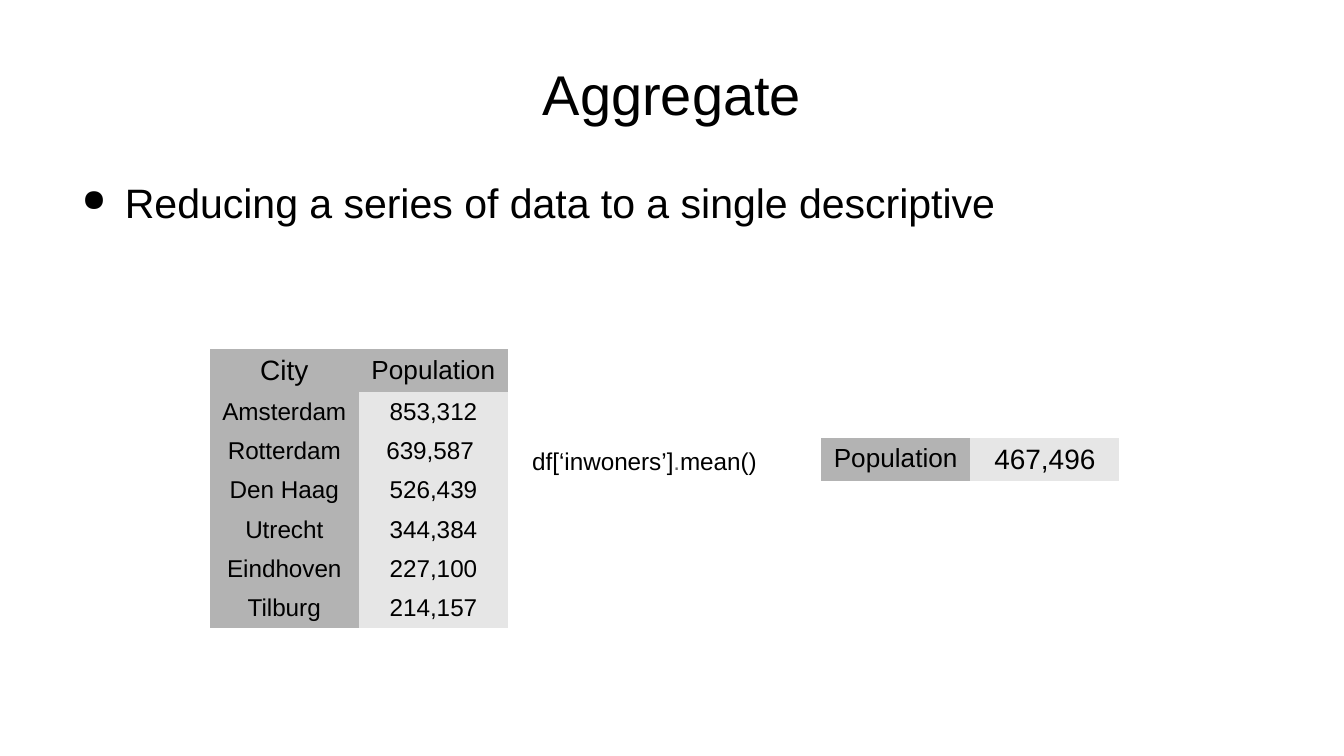
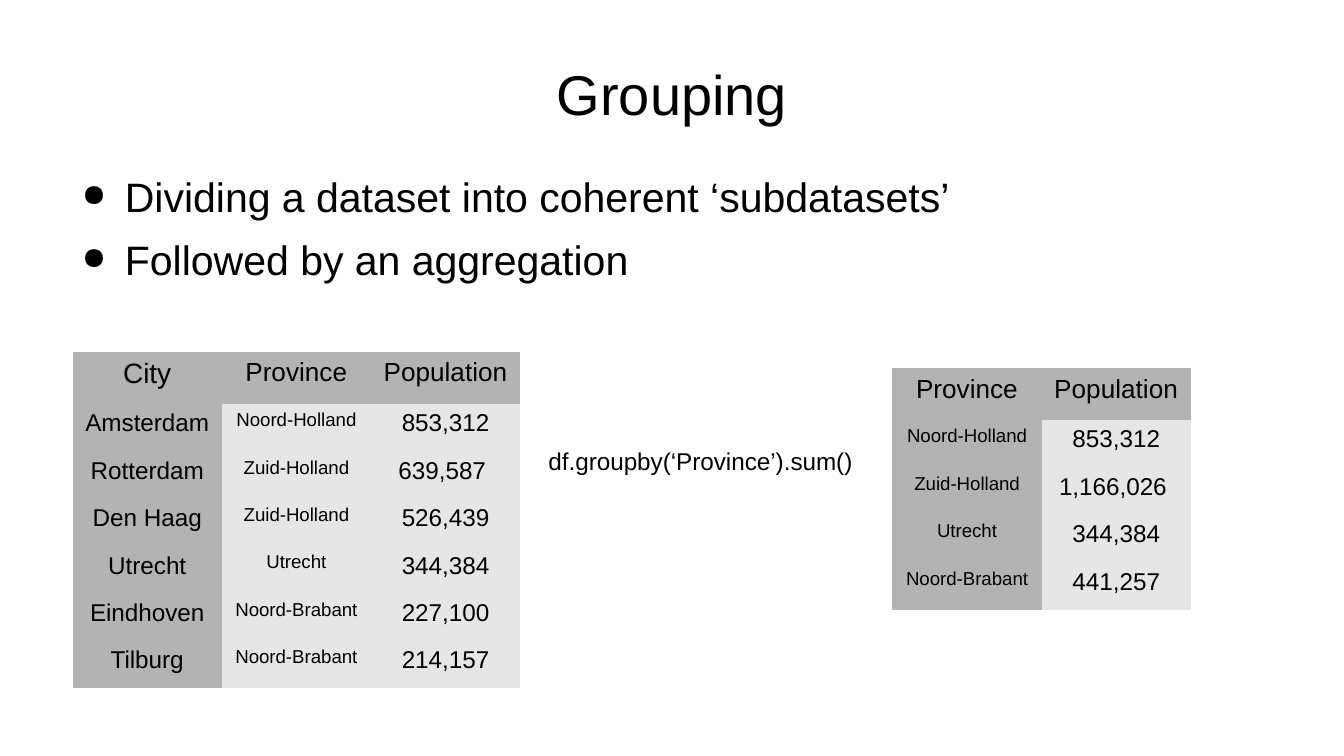
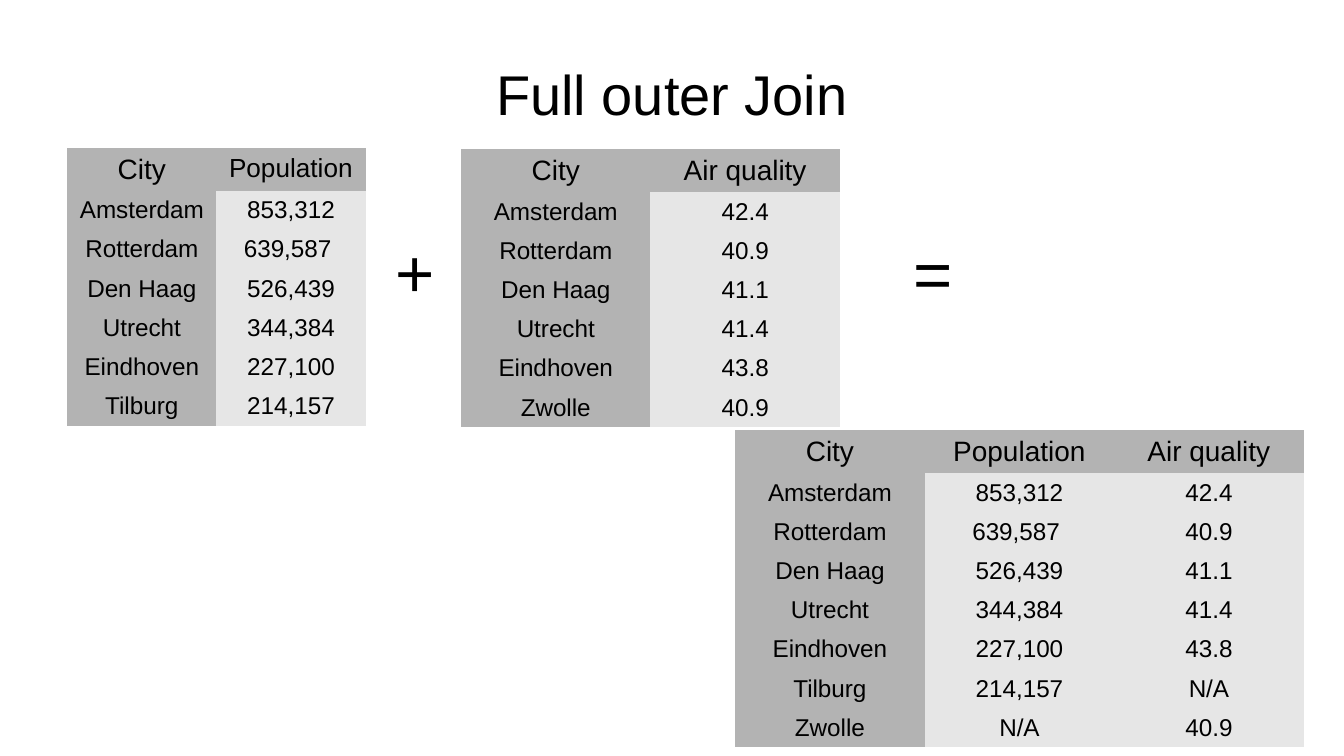
"""Build three slides on aggregating, grouping and joining tables of cities."""
from lxml.etree import SubElement
from pptx import Presentation
from pptx.dml.color import RGBColor
from pptx.enum.text import MSO_ANCHOR, PP_ALIGN
from pptx.oxml.ns import qn
from pptx.util import Inches, Pt

INK, DARK, LIGHT, GREY = "000000", "B3B3B3", "E6E6E6", "666666"
FONT = "Arial"
PLAIN = "{2D5ABB26-0587-4C30-8999-92F81FD0307C}"

deck = Presentation()
deck.slide_width, deck.slide_height = Inches(10), Inches(5.625)
COL = deck.slide_width / 100
ROW = deck.slide_height / 56.25


def write(slide, lines, box, size, pad=(0.9, 0.4), bullet=False, lead=None):
    """Add a text box placed in grid columns and rows, and return its frame."""
    left, top, wide, tall = box
    frame = slide.shapes.add_textbox(
        int(left * COL), int(top * ROW), int(wide * COL), int(tall * ROW)).text_frame
    frame.word_wrap = True
    frame.margin_left = frame.margin_right = int(pad[0] * COL)
    frame.margin_top = frame.margin_bottom = int(pad[1] * ROW)
    frame.text = "\n".join(lines)
    for i, para in enumerate(frame.paragraphs):
        if bullet:
            props = para._p.get_or_add_pPr()
            props.set("marL", str(Inches(0.43)))
            props.set("indent", str(Inches(-0.32)))
            tint = SubElement(props, qn("a:buClr"))
            SubElement(tint, qn("a:srgbClr")).set("val", INK)
            SubElement(props, qn("a:buSzPct")).set("val", "75000")
            SubElement(props, qn("a:buChar")).set("char", "●")
        if lead:
            para.line_spacing = lead
        if i:
            para.space_before = Pt(10)
        para.font.size, para.font.name = Pt(size), FONT
        para.font.color.rgb = RGBColor.from_string(INK)
    return frame


def grid(slide, rows, spot, wide, heads, tall=(3.2, 2.92)):
    """Add a table with a dark first column and, above other rows, a dark head."""
    left, top = spot
    high = tall[0] + tall[1] * (len(rows) - 1)
    table = slide.shapes.add_table(
        len(rows), len(heads), int(left * COL), int(top * ROW),
        int(wide * len(heads) * COL), int(high * ROW)).table
    table._tbl.tblPr[0].text = PLAIN
    table.first_row = table.horz_banding = False
    for column in table.columns:
        column.width = int(wide * COL)
    for r, row in enumerate(rows):
        table.rows[r].height = int(tall[min(r, 1)] * ROW)
        for c, word in enumerate(row):
            cell = table.cell(r, c)
            cell.margin_left = cell.margin_right = int(0.9 * COL)
            cell.margin_top, cell.margin_bottom = int(0.45 * ROW), int(0.15 * ROW)
            cell.fill.solid()
            dark = c == 0 or (r == 0 and len(rows) > 1)
            cell.fill.fore_color.rgb = RGBColor.from_string(DARK if dark else LIGHT)
            cell.text = word
            para = cell.text_frame.paragraphs[0]
            para.alignment = PP_ALIGN.CENTER
            size = heads[c] if r == 0 else 10 if rows[0][c] == "Province" else 13
            para.font.size, para.font.name = Pt(size), FONT
            para.font.color.rgb = RGBColor.from_string(INK)


towns = [
    ("City", "Province", "Population", "Air quality"),
    ("Amsterdam", "Noord-Holland", "853,312", "42.4"),
    ("Rotterdam", "Zuid-Holland", "639,587 ", "40.9"),
    ("Den Haag", "Zuid-Holland", "526,439", "41.1"),
    ("Utrecht", "Utrecht", "344,384", "41.4"),
    ("Eindhoven", "Noord-Brabant", "227,100", "43.8"),
    ("Tilburg", "Noord-Brabant", "214,157", "N/A"),
]
last = ("Zwolle", "N/A", "40.9")
people = [(town, count) for town, _, count, _ in towns]
air = [(town, score) for town, _, _, score in towns[:-1]] + [(last[0], last[2])]
joined = [(town, count, score) for town, _, count, score in towns] + [last]
sums = [
    ("Province", "Population"),
    ("Noord-Holland", "853,312"),
    ("Zuid-Holland", "1,166,026 "),
    ("Utrecht", "344,384"),
    ("Noord-Brabant", "441,257"),
]

slides = []
for title in ("Aggregate", "Grouping", "Full outer Join"):
    slide = deck.slides.add_slide(deck.slide_layouts[6])
    frame = write(slide, [title], (5, 2.2, 90, 9.4), 30, (0, 0))
    frame.vertical_anchor = MSO_ANCHOR.MIDDLE
    frame.paragraphs[0].alignment = PP_ALIGN.CENTER
    slides.append(slide)
first, second, third = slides

write(first, ["Reducing a series of data to a single descriptive"],
      (5, 13.2, 90, 32.6), 22, (0, 0), bullet=True)
grid(first, people, (15.6, 26), 11.1, (15, 14))
grid(first, [("Population", "467,496")], (61.1, 32.6), 11.1, (14, 15))
code = write(first, ["df[‘inwoners’]"], (38.7, 32.8, 22.7, 3.6), 13).paragraphs[0]
for part, tone in ((".", GREY), ("mean()", INK)):
    run = code.add_run()
    run.text = part
    run.font.color.rgb = RGBColor.from_string(tone)

write(second, ["Dividing a dataset into coherent ‘subdatasets’", "Followed by an aggregation"],
      (5, 13.2, 90, 8.6), 22, (0, 0), bullet=True, lead=0.9)
grid(second, [row[:3] for row in towns], (5.4, 26.2), 11.1, (15, 14, 14), (3.85, 3.53))
write(second, ["df.groupby(‘Province’).sum()"], (39.9, 32.8, 24.5, 4.9), 13)
grid(second, sums, (66.4, 27.4), 11.1, (14, 14), (3.85, 3.53))

grid(third, people, (5, 11), 11.1, (15, 14))
grid(third, air, (34.3, 11.1), 14.1, (15, 15))
grid(third, joined, (54.7, 32), 14.1, (15, 15, 15))
for sign, left, top in (("+", 28.5, 16.7), ("=", 67.1, 16.8)):
    write(third, [sign], (left, top, 6.4, 6.5), 36)

deck.save("out.pptx")
